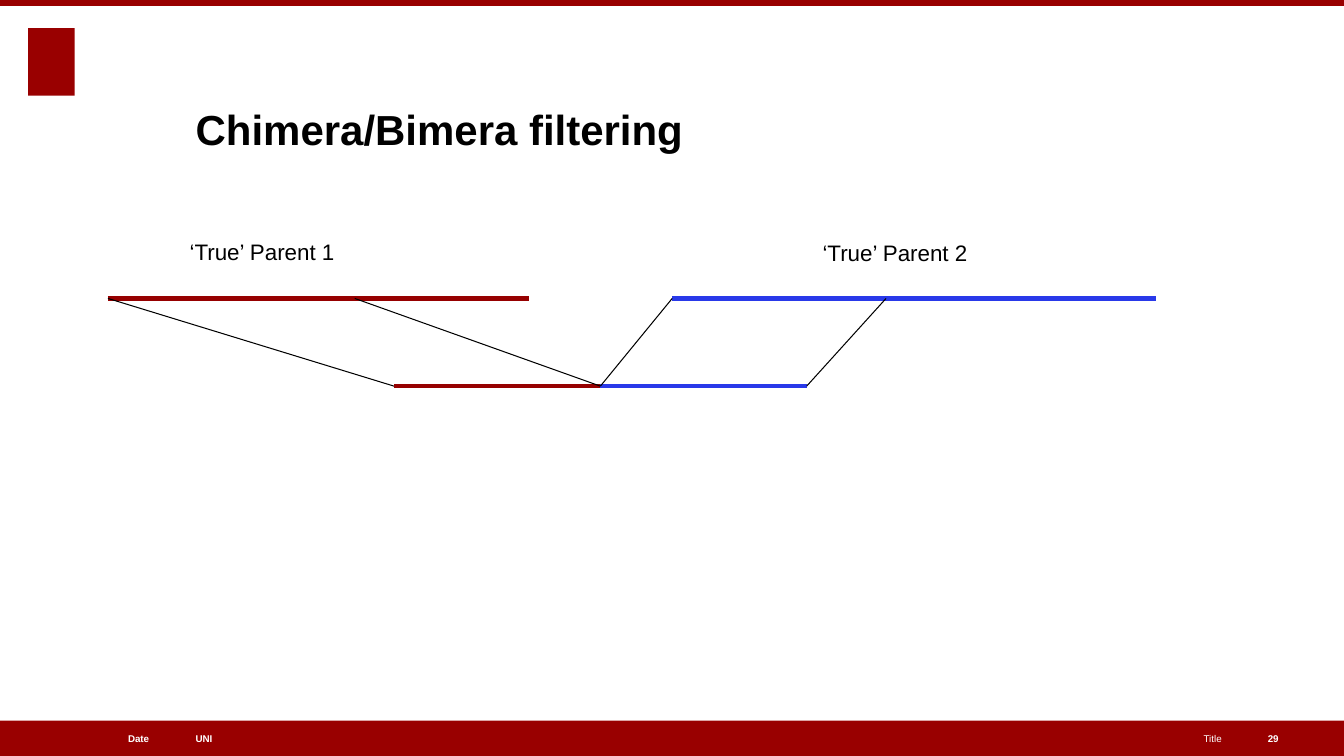
from dataclasses import dataclass

from lxml import etree
from pptx import Presentation
from pptx.dml.color import RGBColor
from pptx.enum import shapes, text
from pptx.oxml import ns
from pptx.util import Cm, Pt


@dataclass(frozen=True)
class Theme:
    font: str = "Arial"
    brand: str = "990000"
    parent_1: str = "960000"
    parent_2: str = "2939E9"
    ink: str = "000000"
    paper: str = "FFFFFF"
    title_size: float = 30
    label_size: float = 16
    footer_size: float = 7
    sequence_width: float = 3
    guide_width: float = 0.75


THEME = Theme()

# Lengths in centimetres
PAGE_WIDTH, PAGE_HEIGHT = 33.87, 19.05
BAND_HEIGHT = 0.89
BAND_TOP = PAGE_HEIGHT - BAND_HEIGHT
CONTENT_LEFT, CONTENT_WIDTH = 4.93, 25.86
PARENT_Y, CHIMERA_Y = 7.52, 9.73
CHIMERA_START, CHIMERA_JOINT, CHIMERA_END = 9.93, 15.13, 20.33
PARENT_1_START, PARENT_1_CUT, PARENT_1_END = 2.72, 8.94, 13.33
PARENT_2_START, PARENT_2_CUT, PARENT_2_END = 16.94, 22.33, 29.13


def fill_text(shape, words, size, color, bold=False,
              align=text.PP_ALIGN.LEFT, anchor=text.MSO_ANCHOR.MIDDLE):
    frame = shape.text_frame
    frame.word_wrap = True
    frame.auto_size = text.MSO_AUTO_SIZE.NONE
    frame.vertical_anchor = anchor
    frame.margin_left = frame.margin_right = 0
    frame.margin_top = frame.margin_bottom = 0
    para = frame.paragraphs[0]
    para.text = words
    para.alignment = align
    para.font.name = THEME.font
    para.font.size = Pt(size)
    para.font.bold = bold
    para.font.color.rgb = RGBColor.from_string(color)
    return para


def add_block(page, left, top, width, height):
    block = page.shapes.add_shape(shapes.MSO_SHAPE.RECTANGLE,
                                  Cm(left), Cm(top), Cm(width), Cm(height))
    block.shadow.inherit = False
    block.fill.solid()
    block.fill.fore_color.rgb = RGBColor.from_string(THEME.brand)
    block.line.fill.background()


def add_line(page, start, end, color, width):
    line = page.shapes.add_connector(shapes.MSO_CONNECTOR.STRAIGHT,
                                     *map(Cm, start + end))
    line.line.color.rgb = RGBColor.from_string(color)
    line.line.width = Pt(width)
    etree.SubElement(line._element.spPr, ns.qn("a:effectLst"))


def add_label(page, words, left, top):
    box = page.shapes.add_textbox(Cm(left), Cm(top), Cm(4.98), Cm(0.69))
    para = fill_text(box, words, THEME.label_size, THEME.ink,
                     anchor=text.MSO_ANCHOR.TOP)
    para.space_before = Pt(4.3)


def add_footer(page, words, left, width, bold=True, align=text.PP_ALIGN.LEFT):
    box = page.shapes.add_textbox(Cm(left), Cm(BAND_TOP), Cm(width), Cm(BAND_HEIGHT))
    fill_text(box, words, THEME.footer_size, THEME.paper, bold, align)


def set_title(page, words):
    title = page.shapes.title
    title.left, title.top = Cm(CONTENT_LEFT), Cm(1.19)
    title.width, title.height = Cm(CONTENT_WIDTH), Cm(2.69)
    fill_text(title, words, THEME.title_size, THEME.ink, bold=True,
              anchor=text.MSO_ANCHOR.BOTTOM)


def main():
    deck = Presentation()
    deck.slide_width, deck.slide_height = Cm(PAGE_WIDTH), Cm(PAGE_HEIGHT)
    page = deck.slides.add_slide(deck.slide_layouts[5])

    # Frame: emblem block, top rule and footer band
    add_block(page, 0.71, 0.71, 1.17, 1.7)
    add_block(page, 0, 0, PAGE_WIDTH, 0.15)
    add_block(page, 0, BAND_TOP, PAGE_WIDTH, BAND_HEIGHT)
    right = text.PP_ALIGN.RIGHT
    add_footer(page, "Date", 0.69, 3.07, align=right)
    add_footer(page, "UNI", CONTENT_LEFT, 9.45)
    add_footer(page, "Title", 15.52, 15.27, bold=False, align=right)
    add_footer(page, "29", 31.95, 1.19)

    set_title(page, "Chimera/Bimera filtering")

    # Sequences: the chimera below, its two parents above
    for start, end, y, color in (
        (CHIMERA_START, CHIMERA_JOINT, CHIMERA_Y, THEME.parent_1),
        (CHIMERA_JOINT, CHIMERA_END, CHIMERA_Y, THEME.parent_2),
        (PARENT_1_START, PARENT_1_END, PARENT_Y, THEME.parent_1),
        (PARENT_2_START, PARENT_2_END, PARENT_Y, THEME.parent_2),
    ):
        add_line(page, (start, y), (end, y), color, THEME.sequence_width)

    # Guides from the chimera to the matching parent sections
    for chimera_x, parent_x in (
        (CHIMERA_START, PARENT_1_START),
        (CHIMERA_JOINT, PARENT_1_CUT),
        (CHIMERA_JOINT, PARENT_2_START),
        (CHIMERA_END, PARENT_2_CUT),
    ):
        add_line(page, (chimera_x, CHIMERA_Y), (parent_x, PARENT_Y),
                 THEME.ink, THEME.guide_width)

    add_label(page, "‘True’ Parent 1", 4.78, 5.99)
    add_label(page, "‘True’ Parent 2", 20.73, 6.02)

    deck.save("out.pptx")


if __name__ == "__main__":
    main()
